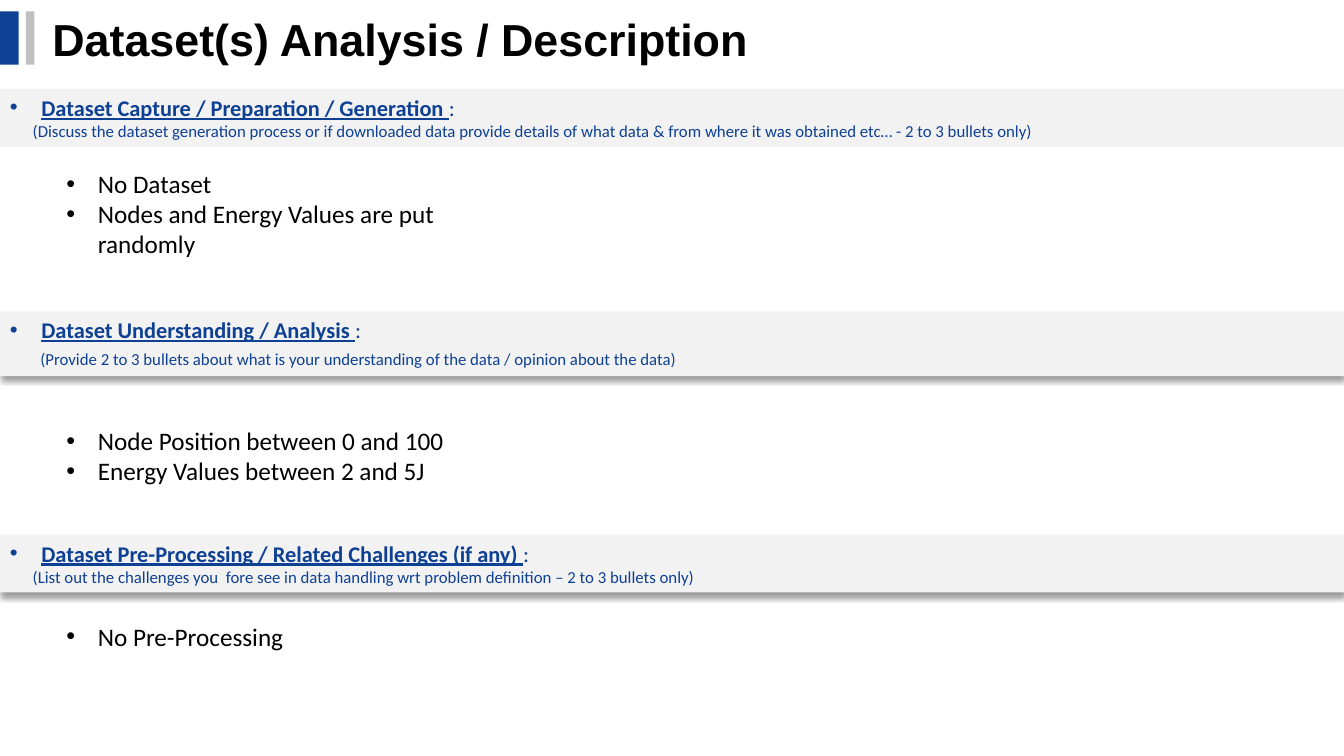
import pptx
import pptx.dml.color
import pptx.enum.shapes
import pptx.enum.text
import pptx.oxml
import pptx.oxml.ns
import pptx.util

Pt = pptx.util.Pt
BLUE, GREY, PALE, BLACK = "0E4094", "BFBFBF", "F2F2F2", "000000"
SHADOW = (
    '<a:outerShdw %s blurRad="50800" dist="38100" dir="5400000" algn="t" rotWithShape="0">'
    '<a:srgbClr val="000000"><a:alpha val="40000"/></a:srgbClr></a:outerShdw>'
    % pptx.oxml.ns.nsdecls("a")
)


def add_run(para, text, size, color, bold=False, line=False, face="Calibri"):
    run = para.add_run()
    run.text = text
    font = run.font
    font.name, font.size, font.bold, font.underline = face, Pt(size), bold, line
    font.color.rgb = pptx.dml.color.RGBColor.from_string(color)


def indent(para, left, bullet=False):
    """Set the left margin in points, with a hanging bullet if asked."""
    props = para._p.get_or_add_pPr()
    props.set("marL", str(Pt(left)))
    props.set("indent", str(Pt(-left if bullet else 0)))
    if bullet:
        props.append(pptx.oxml.parse_xml(
            '<a:buFont %s typeface="Arial"/>' % pptx.oxml.ns.nsdecls("a")))
        props.append(pptx.oxml.parse_xml(
            '<a:buChar %s char="•"/>' % pptx.oxml.ns.nsdecls("a")))


deck = pptx.Presentation()
deck.slide_width, deck.slide_height = Pt(960), Pt(540)
slide = deck.slides.add_slide(deck.slide_layouts[5])

# Title
title = slide.shapes.title
title.left, title.top, title.width, title.height = Pt(30.2), Pt(4.3), Pt(740), Pt(46)
frame = title.text_frame
frame.auto_size = pptx.enum.text.MSO_AUTO_SIZE.NONE
frame.vertical_anchor = pptx.enum.text.MSO_ANCHOR.MIDDLE
para = frame.paragraphs[0]
para.alignment = pptx.enum.text.PP_ALIGN.LEFT
add_run(para, "Dataset(s) Analysis / Description", 32, BLACK, bold=True, face="Arial")

# Title marks and section bands: left, top, width, height, fill
boxes = [
    (0, 8.2, 13.4, 38, BLUE),
    (18.6, 8.2, 6, 38, GREY),
    (0, 63.5, 960, 41.2, PALE),
    (0, 222.6, 960, 46.1, PALE),
    (0, 382, 960, 41.2, PALE),
]
bands = []
for left, top, width, height, fill in boxes:
    box = slide.shapes.add_shape(
        pptx.enum.shapes.MSO_SHAPE.RECTANGLE, Pt(left), Pt(top), Pt(width), Pt(height))
    box.shadow.inherit = False
    box.fill.solid()
    box.fill.fore_color.rgb = pptx.dml.color.RGBColor.from_string(fill)
    box.line.fill.background()
    if fill == PALE:
        bands.append(box)

# Sections: heading, hint, hint margin, gap above hint, shadow, body top, body height, points
sections = [
    ("Dataset Capture / Preparation / Generation ",
     "(Discuss the dataset generation process or if downloaded data provide details of "
     "what data & from where it was obtained etc… - 2 to 3 bullets only)",
     16.3, 0, False, 116.6, 72.7,
     ["No Dataset", "Nodes and Energy Values are put randomly"]),
    ("Dataset Understanding / Analysis ",
     "(Provide 2 to 3 bullets about what is your understanding of the data / "
     "opinion about the data)",
     21.7, 4, True, 300.2, 51,
     ["Node Position between 0 and 100", "Energy Values between 2 and 5J"]),
    ("Dataset Pre-Processing / Related Challenges (if any) ",
     "(List out the challenges you  fore see in data handling wrt problem definition "
     "– 2 to 3 bullets only)",
     16.3, 0, True, 440, 29,
     ["No Pre-Processing"]),
]
for band, section in zip(bands, sections):
    head, hint, margin, gap, shade, top, height, points = section
    if shade:
        effects = band._element.spPr.find(pptx.oxml.ns.qn("a:effectLst"))
        effects.append(pptx.oxml.parse_xml(SHADOW))

    frame = band.text_frame
    frame.word_wrap = True
    frame.vertical_anchor = pptx.enum.text.MSO_ANCHOR.TOP
    para = frame.paragraphs[0]
    para.alignment = pptx.enum.text.PP_ALIGN.JUSTIFY
    indent(para, 22.5, bullet=True)
    add_run(para, head, 16, BLUE, bold=True, line=True)
    add_run(para, ": ", 16, BLUE)
    para = frame.add_paragraph()
    para.alignment = pptx.enum.text.PP_ALIGN.JUSTIFY
    para.space_before = Pt(gap)
    indent(para, margin)
    add_run(para, hint, 12, BLUE)

    body = slide.shapes.add_textbox(Pt(40.3), Pt(top), Pt(341.3), Pt(height))
    frame = body.text_frame
    frame.word_wrap = True
    for i, point in enumerate(points):
        para = frame.add_paragraph() if i else frame.paragraphs[0]
        indent(para, 22.5, bullet=True)
        add_run(para, point, 18, BLACK)

deck.save("out.pptx")
